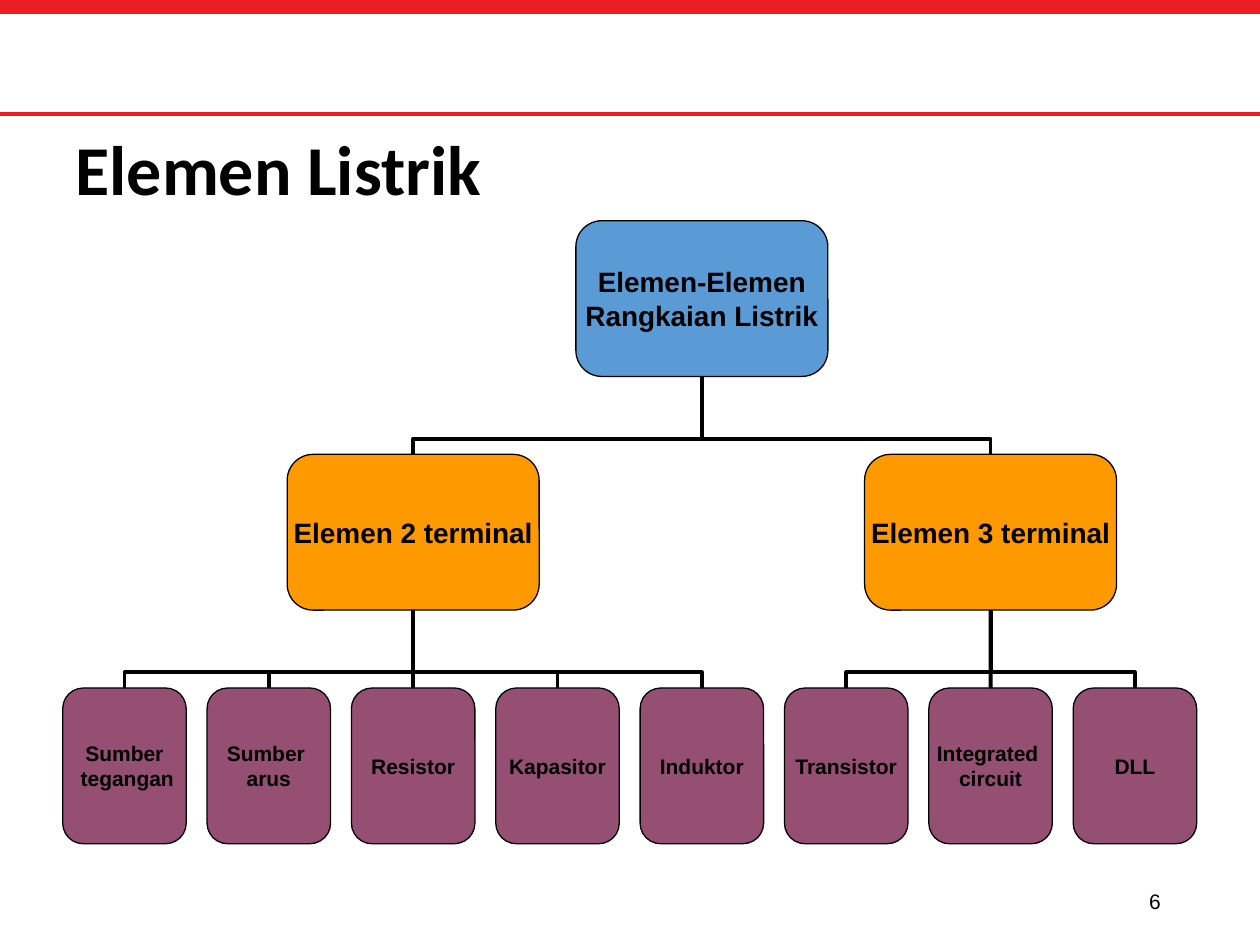
from lxml import etree
from pptx import Presentation
from pptx.dml.color import RGBColor
from pptx.enum import shapes, text
from pptx.oxml.ns import qn
from pptx.util import Cm, Pt

TITLE = "Elemen Listrik"
PAGE_NUMBER = "6"
ROOT = "Elemen-Elemen\nRangkaian Listrik"
BRANCHES = [
    ("Elemen 2 terminal",
     ["Sumber\n tegangan", "Sumber \narus", "Resistor", "Kapasitor", "Induktor"]),
    ("Elemen 3 terminal", ["Transistor", "Integrated \ncircuit", "DLL"]),
]
COLORS = {"rule": "ED1D24", "root": "5B9BD5", "branch": "FF9900",
          "leaf": "954F72", "ink": "000000"}

# Tree grid, in centimetres
FIRST_CENTER, PITCH = 2.51, 2.91
FIRST_TOP, ROW_STEP, BOX_HEIGHT = 4.45, 4.71, 3.14
WIDE, NARROW = 5.08, 2.49
ELBOW_BEND = 20200  # share of the gap, in 1/100000, measured from the child


def rgb(name):
    return RGBColor.from_string(COLORS[name])


def style_text(frame, size, font, bold, align):
    for para in frame.paragraphs:
        para.alignment = align
        for span in para.runs:
            span.font.size = Pt(size)
            span.font.name = font
            span.font.bold = bold
            span.font.color.rgb = rgb("ink")


def add_rule(page, top, height):
    rule = page.shapes.add_shape(shapes.MSO_SHAPE.RECTANGLE, 0, Cm(top),
                                 Cm(25.4), Cm(height))
    rule.shadow.inherit = False
    rule.fill.solid()
    rule.fill.fore_color.rgb = rgb("rule")
    rule.line.fill.background()


def add_node(page, label, level, slot, width, kind, size):
    """Add a box centred on a column slot, which may be fractional."""
    center = FIRST_CENTER + PITCH * slot
    node = page.shapes.add_shape(
        shapes.MSO_SHAPE.ROUNDED_RECTANGLE, Cm(center - width / 2),
        Cm(FIRST_TOP + ROW_STEP * level), Cm(width), Cm(BOX_HEIGHT))
    node.shadow.inherit = False
    node.fill.solid()
    node.fill.fore_color.rgb = rgb(kind)
    node.line.color.rgb = rgb("ink")
    node.line.width = Pt(0.75)
    frame = node.text_frame
    frame.margin_left = frame.margin_right = frame.margin_top = frame.margin_bottom = 0
    frame.word_wrap = False
    frame.vertical_anchor = text.MSO_ANCHOR.MIDDLE
    frame.text = label
    style_text(frame, size, "Arial", True, text.PP_ALIGN.CENTER)
    return node


def turn_elbow(link):
    """Rotate an elbow so that it leaves the child upwards."""
    width, height = link.width, link.height
    leans_left = link.begin_x > link.end_x
    left = link.left + (width - height) // 2
    top = link.top + (height - width) // 2
    frame = link._element.spPr.find(qn("a:xfrm"))
    for flip in ("flipH", "flipV"):
        frame.attrib.pop(flip, None)
    frame.set("rot", str((90 if leans_left else 270) * 60000))
    if leans_left:
        frame.set("flipH", "1")
    link.left, link.top, link.width, link.height = left, top, height, width
    adjustments = link._element.spPr.find(qn("a:prstGeom")).get_or_add_avLst()
    etree.SubElement(adjustments, qn("a:gd"), name="adj1", fmla=f"val {ELBOW_BEND}")


def join(page, child, parent):
    offset = child.left + child.width // 2 - parent.left - parent.width // 2
    straight = abs(offset) < Cm(0.05)
    kind = shapes.MSO_CONNECTOR.STRAIGHT if straight else shapes.MSO_CONNECTOR.ELBOW
    link = page.shapes.add_connector(kind, 0, 0, 0, 0)
    link.begin_connect(child, 0)
    link.end_connect(parent, 2)
    if not straight:
        turn_elbow(link)
    link.line.color.rgb = rgb("ink")
    link.line.width = Pt(2.25)
    etree.SubElement(link._element.spPr, qn("a:effectLst"))


def add_tree(page):
    slot, branch_slots, pairs = 0, [], []
    for label, leaves in BRANCHES:
        middle = slot + (len(leaves) - 1) / 2
        branch = add_node(page, label, 1, middle, WIDE, "branch", 16)
        branch_slots.append((branch, middle))
        for leaf in leaves:
            pairs.append((add_node(page, leaf, 2, slot, NARROW, "leaf", 12), branch))
            slot += 1
    middle = sum(place for _, place in branch_slots) / len(branch_slots)
    root = add_node(page, ROOT, 0, middle, WIDE, "root", 16)
    pairs += [(branch, root) for branch, _ in branch_slots]
    for child, parent in pairs:
        join(page, child, parent)


def main():
    deck = Presentation()
    deck.slide_width, deck.slide_height = Cm(25.4), Cm(19.05)
    page = deck.slides.add_slide(deck.slide_layouts[5])

    add_rule(page, 0, 0.28)
    add_rule(page, 2.26, 0.08)

    title = page.shapes.title
    title.left, title.top, title.width, title.height = Cm(1.27), Cm(1.9), Cm(22.86), Cm(3.18)
    title.text_frame.text = TITLE
    title.text_frame.vertical_anchor = text.MSO_ANCHOR.MIDDLE
    title.text_frame.paragraphs[0].line_spacing = 0.9
    style_text(title.text_frame, 40, "Calibri", True, text.PP_ALIGN.LEFT)

    number = page.shapes.add_textbox(Cm(17.93), Cm(17.65), Cm(5.72), Cm(1.02))
    number.text_frame.word_wrap = True
    number.text_frame.vertical_anchor = text.MSO_ANCHOR.MIDDLE
    number.text_frame.text = PAGE_NUMBER
    style_text(number.text_frame, 12, "Arial", False, text.PP_ALIGN.RIGHT)

    add_tree(page)
    deck.save("out.pptx")


if __name__ == "__main__":
    main()
